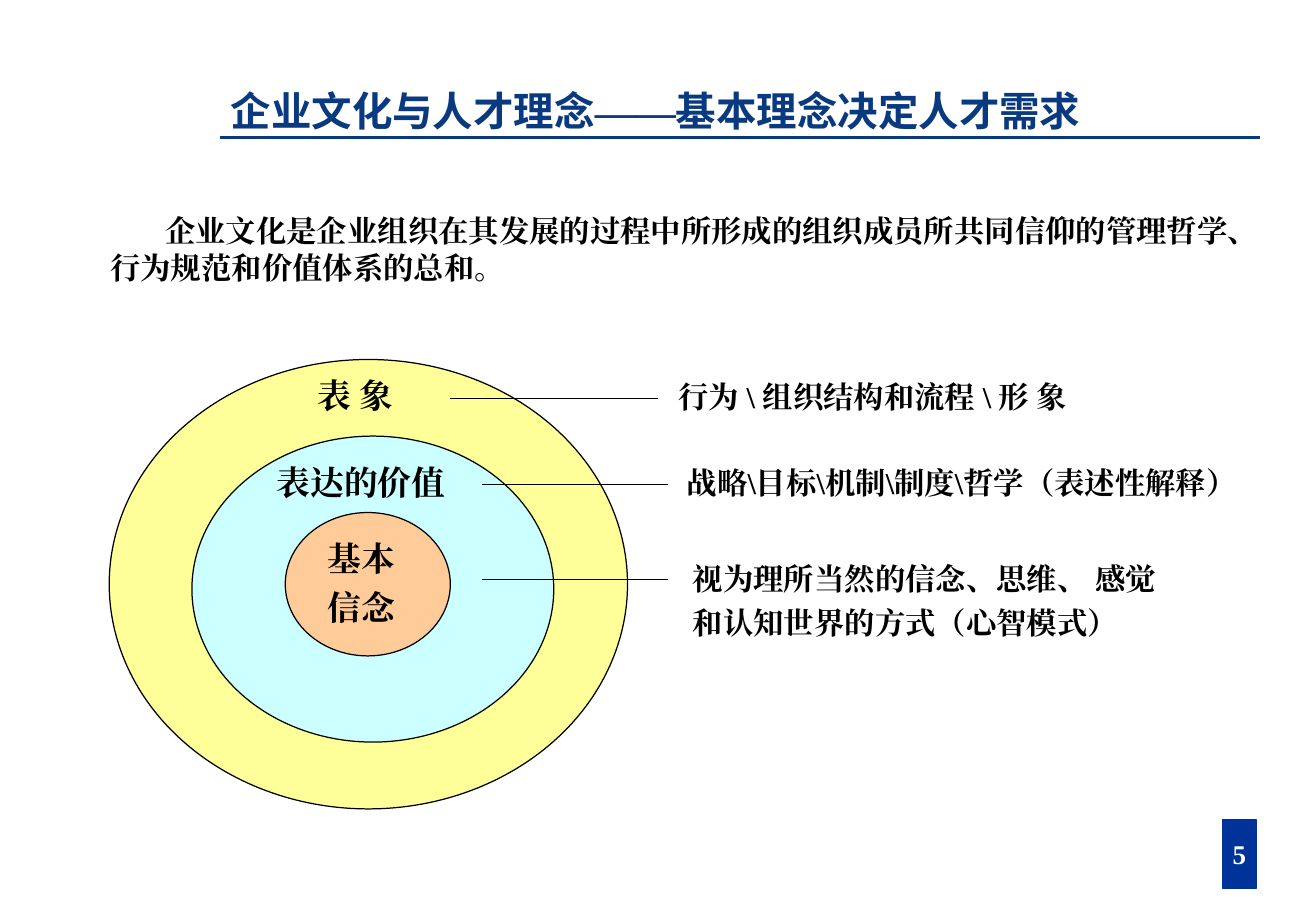
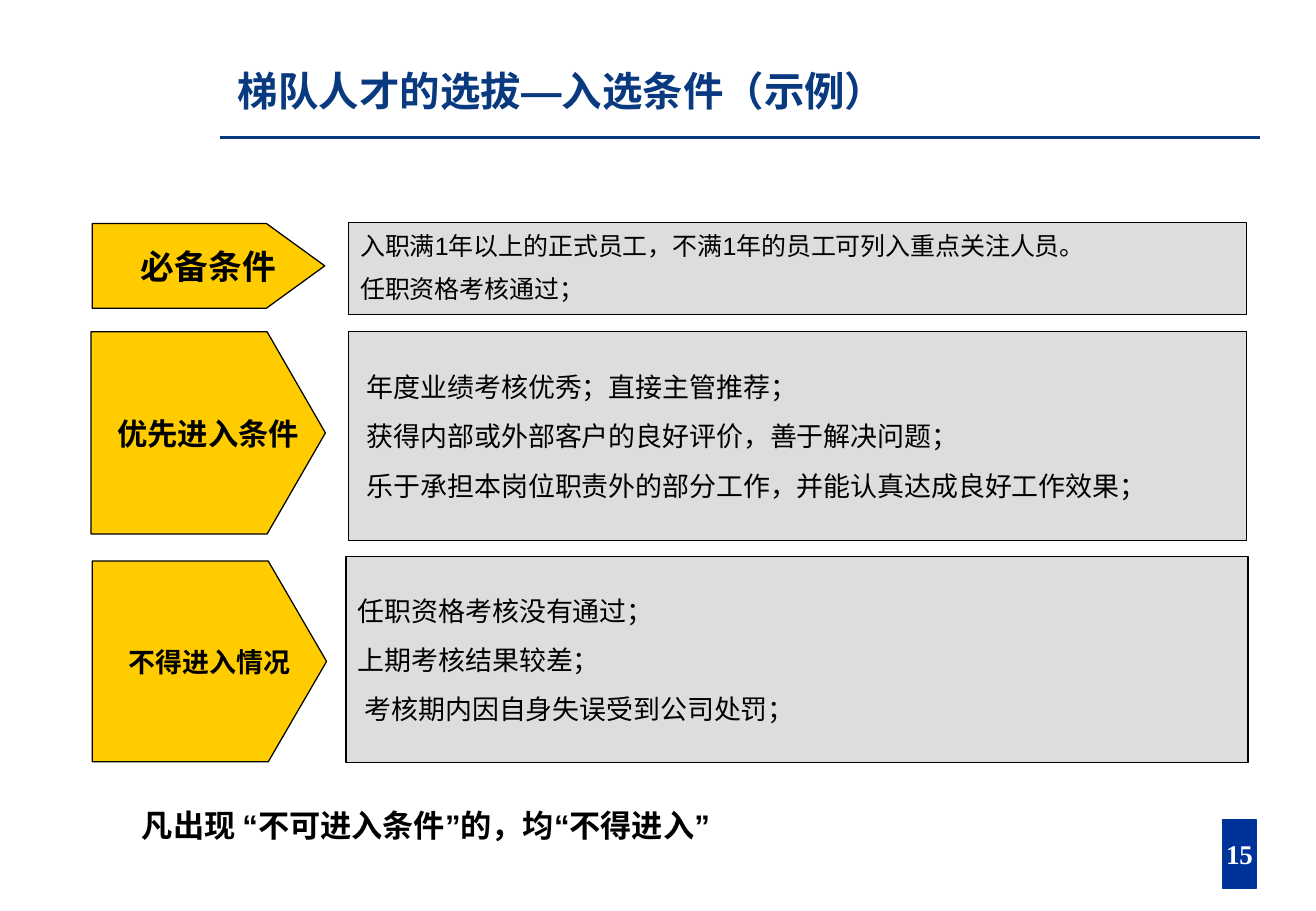
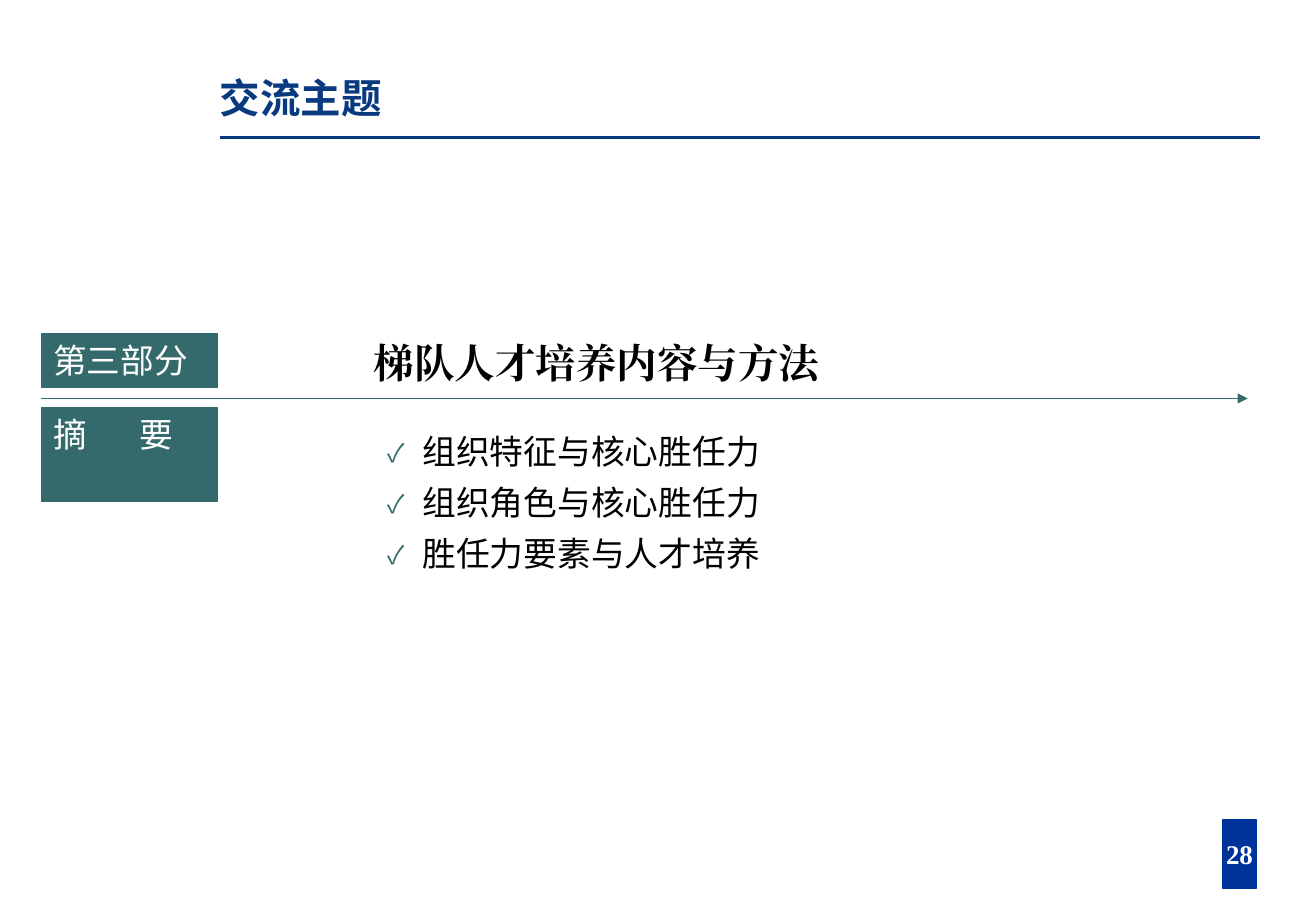
from lxml import etree
from pptx import Presentation
from pptx.dml.color import RGBColor
from pptx.enum.shapes import MSO_CONNECTOR, MSO_SHAPE
from pptx.enum.text import MSO_ANCHOR, PP_ALIGN
from pptx.oxml.ns import qn
from pptx.util import Pt

STRAIGHT = MSO_CONNECTOR.STRAIGHT
RECTANGLE, OVAL = MSO_SHAPE.RECTANGLE, MSO_SHAPE.OVAL
TOP, MIDDLE, BOTTOM = MSO_ANCHOR.TOP, MSO_ANCHOR.MIDDLE, MSO_ANCHOR.BOTTOM
LEFT, CENTER = PP_ALIGN.LEFT, PP_ALIGN.CENTER

NAVY = RGBColor(0x09, 0x3A, 0x80)
BADGE_BLUE = RGBColor(0x00, 0x33, 0x99)
TEAL = RGBColor(0x34, 0x6A, 0x6C)
YELLOW = RGBColor(0xFF, 0xFF, 0x99)
CYAN = RGBColor(0xCC, 0xFF, 0xFF)
PEACH = RGBColor(0xFF, 0xCC, 0x99)
GOLD = RGBColor(0xFF, 0xCC, 0x00)
GREY = RGBColor(0xDD, 0xDD, 0xDD)
BLACK = RGBColor(0x00, 0x00, 0x00)
WHITE = RGBColor(0xFF, 0xFF, 0xFF)

SANS, SERIF, HAN = "Arial", "Times New Roman", "Noto Sans CJK SC"
LINE_HEIGHT = 1.2
INSETS = (7.2, 3.6)

CULTURE_TITLE = [("企业文化与人才理念", HAN), ("——", SERIF), ("基本理念决定人才需求", HAN)]
CULTURE_DEFINITION = "企业文化是企业组织在其发展的过程中所形成的组织成员所共同信仰的管理哲学、行为规范和价值体系的总和。"
CULTURE_LAYERS = [
    {"ring": (64.8, 213.1, 307.4, 266.4), "fill": YELLOW,
     "name": ["表 象"], "name_box": (181.4, 218.9, 74.2, 31.7),
     "detail": ["行为 \\ 组织结构和流程 \\ 形 象"], "detail_at": (395.3, 220.3),
     "leader": (267.1, 390.2, 236.2)},
    {"ring": (113.8, 258.5, 214.6, 181.4), "fill": CYAN,
     "name": ["表达的价值"], "name_box": (157, 270, 141.1, 31.7),
     "detail": ["战略\\目标\\机制\\制度\\哲学（表述性解释）"], "detail_at": (400.3, 271.4),
     "leader": (285.8, 396, 287.3)},
    {"ring": (169.2, 303.8, 97.9, 85), "fill": PEACH,
     "name": ["基本", "信念"], "name_box": (187.2, 315.4, 92.2, 60.5),
     "detail": ["视为理所当然的信念、思维、 感觉", "和认知世界的方式（心智模式）"],
     "detail_at": (403.9, 328.3), "leader": (285.8, 396, 343.4)},
]

SELECTION_TITLE = [("梯队人才的选拔", HAN), ("—", SANS), ("入选条件（示例）", HAN)]
CONDITIONS = [
    {"name": "必备条件", "name_size": 20, "arrow": (54.7, 132.5, 137.9, 50.2),
     "panel": (206.6, 131.8, 532.8, 54.7), "size": 14.8, "spacing": 1.05,
     "items": [("入职满1年以上的正式员工，不满1年的员工可列入重点关注人员。", 0),
               ("任职资格考核通过；", 0)]},
    {"name": "优先进入条件", "name_size": 18, "arrow": (54, 196.6, 139, 120),
     "panel": (206.6, 196.6, 532.8, 123.8), "size": 16, "spacing": LINE_HEIGHT,
     "items": [("年度业绩考核优秀；直接主管推荐；", 4),
               ("获得内部或外部客户的良好评价，善于解决问题；", 4),
               ("乐于承担本岗位职责外的部分工作，并能认真达成良好工作效果；", 4)]},
    {"name": "不得进入情况", "name_size": 16, "arrow": (54.7, 332.6, 139, 119),
     "panel": (205.2, 329.8, 535, 122.4), "size": 16, "spacing": LINE_HEIGHT,
     "items": [("任职资格考核没有通过；", 0), ("上期考核结果较差；", 0),
               ("考核期内因自身失误受到公司处罚；", 4)]},
]
ARROW_TIP = 34.6
EXCLUSION_RULE = [("凡出现 ", HAN), ("“", SANS), ("不可进入条件", HAN), ("”", SANS),
                  ("的，均", HAN), ("“", SANS), ("不得进入", HAN), ("”", SANS)]

AGENDA_TITLE = [("交流主题", HAN)]
AGENDA_TAGS = [("第三部分", 198, 31.7), ("摘\t要", 241.9, 55.4)]
AGENDA_HEADING = "梯队人才培养内容与方法"
AGENDA_TOPICS = ["组织特征与核心胜任力", "组织角色与核心胜任力", "胜任力要素与人才培养"]


def set_font(run, face, size, color, bold):
    font = run.font
    font.name, font.size, font.bold = face, Pt(size), bold
    font.color.rgb = color
    east_asian = etree.SubElement(run._r.get_or_add_rPr(), qn("a:ea"))
    east_asian.set("typeface", face)


def write(shape, lines, face, size, color=BLACK, bold=False, align=LEFT, anchor=TOP,
          insets=INSETS, wrap=True, before=0, spacing=LINE_HEIGHT):
    frame = shape.text_frame
    frame.word_wrap, frame.vertical_anchor = wrap, anchor
    frame.margin_left = frame.margin_right = Pt(insets[0])
    frame.margin_top = frame.margin_bottom = Pt(insets[1])
    frame.text = "\n".join(lines)
    for index, paragraph in enumerate(frame.paragraphs):
        paragraph.alignment = align
        paragraph.line_spacing = Pt(round(size * spacing, 2))
        paragraph.space_before = Pt(before if index else 0)
        for run in paragraph.runs:
            set_font(run, face, size, color, bold)
    return frame.paragraphs


def write_runs(paragraph, parts, size, color):
    for text, face in parts:
        run = paragraph.add_run()
        run.text = text
        set_font(run, face, size, color, True)


def indent(paragraph, margin, first=0):
    properties = paragraph._p.get_or_add_pPr()
    properties.set("marL", str(Pt(margin)))
    properties.set("indent", str(Pt(first)))
    return properties


def add_text_box(slide, box):
    return slide.shapes.add_textbox(*map(Pt, box))


def paint(shape, fill, line, width=0.75):
    shape.shadow.inherit = False
    shape.fill.solid()
    shape.fill.fore_color.rgb = fill
    shape.line.color.rgb = line
    shape.line.width = Pt(width)
    return shape


def add_block(slide, preset, box, fill, line, width=0.75):
    return paint(slide.shapes.add_shape(preset, *map(Pt, box)), fill, line, width)


def add_rule(slide, left, right, y, color, width):
    rule = slide.shapes.add_connector(STRAIGHT, Pt(left), Pt(y), Pt(right), Pt(y))
    rule.line.color.rgb = color
    rule.line.width = Pt(width)
    etree.SubElement(rule._element.spPr, qn("a:effectLst"))
    return rule


def start_slide(deck, title_parts, title_box, number):
    slide = deck.slides.add_slide(deck.slide_layouts[5])
    add_rule(slide, 130.3, 747.4, 81.4, NAVY, 2)
    badge = add_block(slide, RECTANGLE, (725, 486, 20.2, 40.3), BADGE_BLUE, BADGE_BLUE, 1)
    write(badge, [str(number)], SERIF, 16, WHITE, True, CENTER, MIDDLE, (0, 0), False)
    title = slide.shapes.title
    title.left, title.top, title.width, title.height = map(Pt, title_box)
    paragraph = write(title, [""], HAN, 24, anchor=BOTTOM, insets=(0, 0))[0]
    paragraph.line_spacing = 0.8
    write_runs(paragraph, title_parts, 24, NAVY)
    return slide


def build_culture(deck):
    slide = start_slide(deck, CULTURE_TITLE, (136.8, 28.8, 573.8, 51.1), 5)
    definition = add_text_box(slide, (58.3, 122.4, 682.6, 50.4))
    indent(write(definition, [CULTURE_DEFINITION], SERIF, 18, bold=True)[0], 0, 32.6)
    for layer in CULTURE_LAYERS:
        add_block(slide, OVAL, layer["ring"], layer["fill"], BLACK)
        name = add_text_box(slide, layer["name_box"])
        write(name, layer["name"], SERIF, 20, bold=True, before=5)
        height = 7.2 + 24 * len(layer["detail"])
        detail = add_text_box(slide, (*layer["detail_at"], 374.4, height))
        write(detail, layer["detail"], SERIF, 18, bold=True, before=4.5)
        add_rule(slide, *layer["leader"], BLACK, 0.75)


def add_arrow(slide, left, top, width, height):
    right, bottom, shoulder = left + width, top + height, left + width - ARROW_TIP
    outline = slide.shapes.build_freeform(Pt(left), Pt(top))
    corners = [(shoulder, top), (right, top + height / 2), (shoulder, bottom), (left, bottom)]
    outline.add_line_segments([(Pt(x), Pt(y)) for x, y in corners])
    return paint(outline.convert_to_shape(), GOLD, BLACK)


def build_selection(deck):
    slide = start_slide(deck, SELECTION_TITLE, (141.1, 28.1, 436.3, 39.6), 15)
    for condition in CONDITIONS:
        arrow = add_arrow(slide, *condition["arrow"])
        write(arrow, [condition["name"]], SANS, condition["name_size"], bold=True,
              align=CENTER, anchor=MIDDLE, wrap=False)
        panel = add_block(slide, RECTANGLE, condition["panel"], GREY, BLACK)
        items = condition["items"]
        paragraphs = write(panel, [text for text, _ in items], SANS, condition["size"],
                           anchor=MIDDLE, before=10, spacing=condition["spacing"])
        for paragraph, (_, margin) in zip(paragraphs, items):
            indent(paragraph, margin)
    exclusion = add_text_box(slide, (84.2, 472.3, 398.2, 33.8))
    paragraph = write(exclusion, [""], HAN, 18.5, insets=(0, 0), spacing=1.5)[0]
    write_runs(paragraph, EXCLUSION_RULE, 18.5, BLACK)


def add_check_bullet(properties):
    color = etree.SubElement(properties, qn("a:buClr"))
    etree.SubElement(color, qn("a:srgbClr")).set("val", str(TEAL))
    etree.SubElement(properties, qn("a:buSzPct")).set("val", "75000")
    etree.SubElement(properties, qn("a:buFont")).set("typeface", HAN)
    etree.SubElement(properties, qn("a:buChar")).set("char", "✓")


def build_agenda(deck):
    slide = start_slide(deck, AGENDA_TITLE, (130.3, 18, 617, 54), 28)
    for label, top, height in AGENDA_TAGS:
        tag = add_block(slide, RECTANGLE, (24.5, top, 104.4, height), TEAL, TEAL)
        paragraph = write(tag, [label], SANS, 20, WHITE)[0]
        if "\t" in label:
            stops = etree.SubElement(paragraph._p.get_or_add_pPr(), qn("a:tabLst"))
            stop = etree.SubElement(stops, qn("a:tab"))
            stop.set("pos", str(Pt(51)))
            stop.set("algn", "l")
    heading = add_text_box(slide, (214.6, 196.6, 491, 36))
    write(heading, [AGENDA_HEADING], SERIF, 24, bold=True)
    timeline = add_rule(slide, 24.5, 740, 236.2, TEAL, 1)
    head = etree.SubElement(timeline.line._get_or_add_ln(), qn("a:tailEnd"))
    head.set("type", "triangle")
    topics = add_text_box(slide, (193.7, 252, 534.2, 122.4))
    for paragraph in write(topics, AGENDA_TOPICS, HAN, 20, before=6.2):
        add_check_bullet(indent(paragraph, 49.7, -20.9))


def main():
    deck = Presentation()
    deck.slide_width, deck.slide_height = Pt(780.48), Pt(540)
    build_culture(deck)
    build_selection(deck)
    build_agenda(deck)
    deck.save("out.pptx")


if __name__ == "__main__":
    main()
